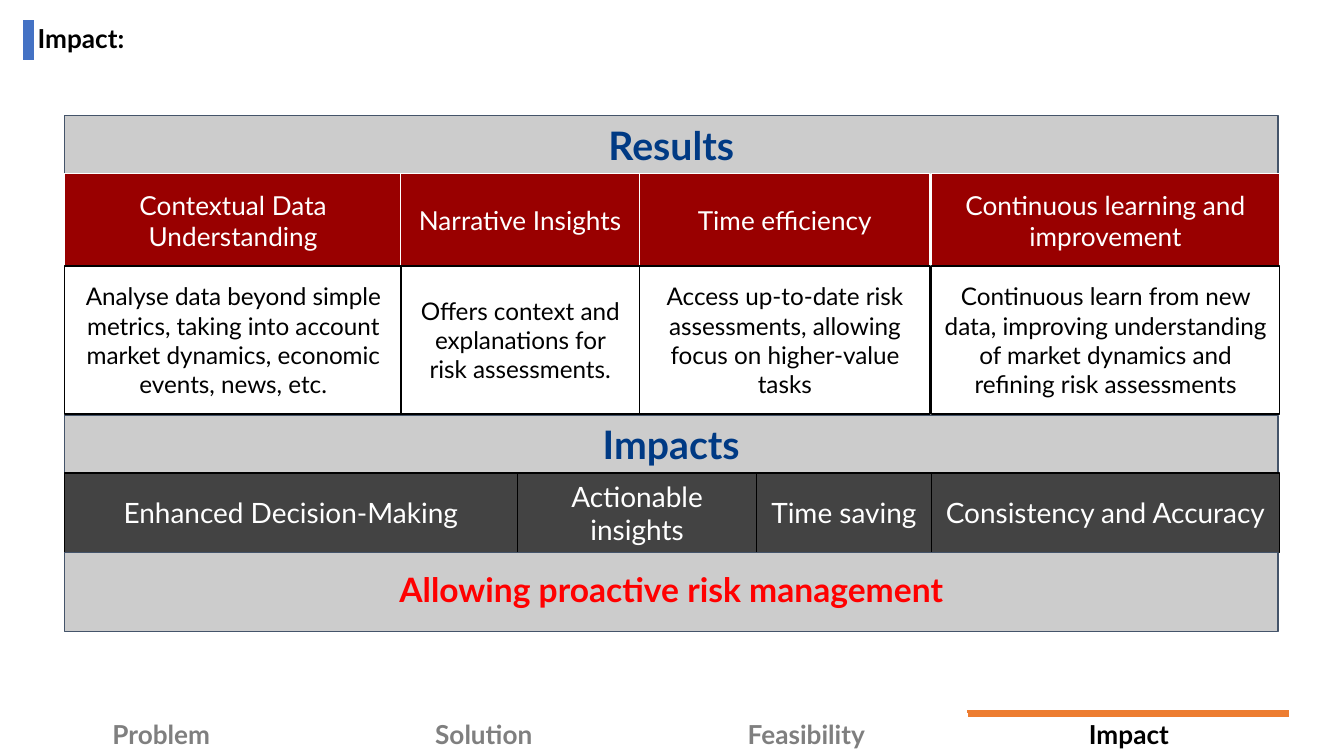
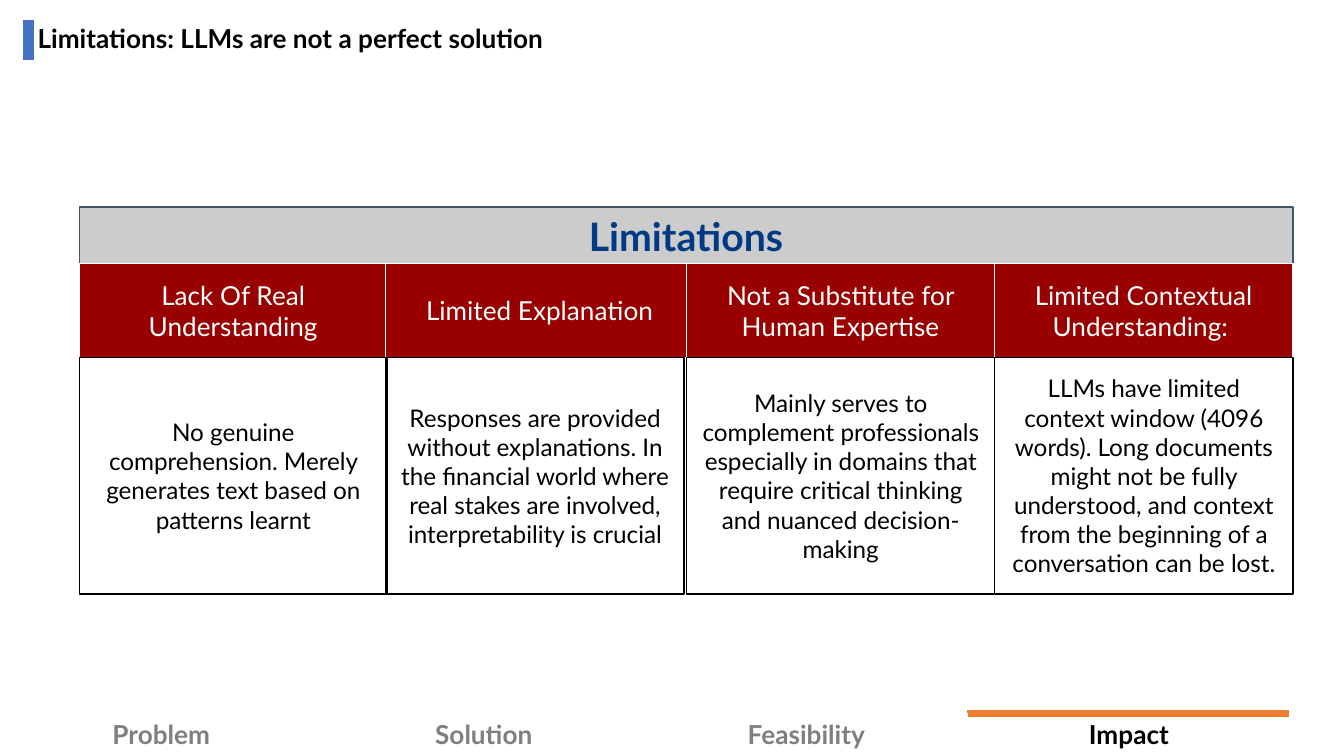
from dataclasses import dataclass
from typing import Optional

from lxml import etree
from pptx import Presentation
from pptx import util as u
from pptx.dml import color
from pptx.enum import shapes, text
from pptx.oxml import ns

FONT = "Lato"
BLACK = color.RGBColor(0x00, 0x00, 0x00)
WHITE = color.RGBColor(0xFF, 0xFF, 0xFF)
GREY = color.RGBColor(0x7F, 0x7F, 0x7F)
SILVER = color.RGBColor(0xCC, 0xCC, 0xCC)
CHARCOAL = color.RGBColor(0x43, 0x43, 0x43)
SLATE = color.RGBColor(0x44, 0x54, 0x6A)
NAVY = color.RGBColor(0x00, 0x3A, 0x84)
BLUE = color.RGBColor(0x44, 0x72, 0xC4)
ORANGE = color.RGBColor(0xED, 0x7D, 0x31)
CRIMSON = color.RGBColor(0x99, 0x00, 0x00)
RED = color.RGBColor(0xFF, 0x00, 0x00)

SECTIONS = ["Problem", "Solution", "Feasibility", "Impact"]
CURRENT_SECTION = "Impact"
BAND_WIDTH = 9.03


@dataclass(frozen=True)
class BoxStyle:
    fill: Optional[color.RGBColor]
    outline: color.RGBColor
    ink: color.RGBColor
    size: int
    height: float
    bold: bool = False
    spacing: Optional[float] = None


BAND = BoxStyle(SILVER, SLATE, NAVY, 21, 0.43, True)
HEADING = BoxStyle(CRIMSON, WHITE, WHITE, 14, 0.7)
RESULT = BoxStyle(None, BLACK, BLACK, 13, 1.1)
LIMIT = BoxStyle(None, BLACK, BLACK, 13, 1.76)
BENEFIT = BoxStyle(CHARCOAL, BLACK, WHITE, 15, 0.59)
CONCLUSION = BoxStyle(SILVER, SLATE, RED, 18, 0.59, True, 0.9)


def write(frame, wording, ink, size, bold, align, spacing=None):
    paragraph = frame.paragraphs[0]
    paragraph.alignment = align
    if spacing:
        paragraph.line_spacing = spacing
    run = paragraph.add_run()
    run.text = wording
    run.font.name = FONT
    run.font.size = u.Pt(size)
    run.font.bold = bold
    run.font.color.rgb = ink


def set_margins(frame, horizontal, vertical):
    frame.margin_left = frame.margin_right = u.Inches(horizontal)
    frame.margin_top = frame.margin_bottom = u.Inches(vertical)


def add_title_bar(slide):
    bar = slide.shapes.add_connector(
        shapes.MSO_CONNECTOR.STRAIGHT,
        u.Inches(0.21), u.Inches(0.15), u.Inches(0.21), u.Inches(0.45))
    bar.line.color.rgb = BLUE
    bar.line.width = u.Pt(6)
    etree.SubElement(bar._element.spPr, ns.qn("a:effectLst"))


def set_title(slide, wording):
    title = slide.shapes.title
    title.left, title.top = u.Inches(0.21), u.Inches(0.15)
    title.width, title.height = u.Inches(9.79), u.Inches(0.3)
    frame = title.text_frame
    frame.auto_size = text.MSO_AUTO_SIZE.NONE
    frame.word_wrap = True
    frame.vertical_anchor = text.MSO_ANCHOR.MIDDLE
    set_margins(frame, 0.07, 0.04)
    write(frame, wording, BLACK, 14, True, text.PP_ALIGN.LEFT, 0.9)


def mark_top_border(cell):
    border = etree.Element(ns.qn("a:lnT"), w=str(u.Pt(4.5)))
    fill = etree.SubElement(border, ns.qn("a:solidFill"))
    etree.SubElement(fill, ns.qn("a:srgbClr"), val=str(ORANGE))
    cell._tc.get_or_add_tcPr().insert(0, border)


def add_section_footer(slide):
    footer = slide.shapes.add_table(
        1, len(SECTIONS), u.Inches(0), u.Inches(5.31),
        u.Inches(2.4 * len(SECTIONS)), u.Inches(0.3)).table
    footer.first_row = footer.horz_banding = False
    for cell, section in zip(footer.rows[0].cells, SECTIONS):
        current = section == CURRENT_SECTION
        cell.fill.solid()
        cell.fill.fore_color.rgb = WHITE
        set_margins(cell, 0.08, 0.04)
        write(cell.text_frame, section, BLACK if current else GREY, 14, True,
              text.PP_ALIGN.CENTER)
        if current:
            mark_top_border(cell)


def add_box(slide, left, top, width, wording, style):
    box = slide.shapes.add_shape(
        shapes.MSO_SHAPE.RECTANGLE, u.Inches(left), u.Inches(top),
        u.Inches(width), u.Inches(style.height))
    box.shadow.inherit = False
    if style.fill is None:
        box.fill.background()
    else:
        box.fill.solid()
        box.fill.fore_color.rgb = style.fill
    box.line.color.rgb = style.outline
    box.line.width = u.Pt(0.75)
    frame = box.text_frame
    frame.word_wrap = True
    frame.vertical_anchor = text.MSO_ANCHOR.MIDDLE
    set_margins(frame, 0.1, 0.1)
    write(frame, wording, style.ink, style.size, style.bold,
          text.PP_ALIGN.CENTER, style.spacing)


def add_row(slide, top, columns, wordings, style):
    for (left, width), wording in zip(columns, wordings):
        add_box(slide, left, top, width, wording, style)


def add_framed_slide(deck, title):
    slide = deck.slides.add_slide(deck.slide_layouts[5])
    add_title_bar(slide)
    add_section_footer(slide)
    set_title(slide, title)
    return slide


def build_impact(deck):
    slide = add_framed_slide(deck, "Impact:")
    left = 0.48
    add_box(slide, left, 0.86, BAND_WIDTH, "Results", BAND)
    results = [(left, 2.51), (2.98, 1.78), (4.76, 2.16), (6.93, 2.59)]
    add_row(slide, 1.29, results, [
        "Contextual Data Understanding",
        "Narrative Insights",
        "Time efficiency",
        "Continuous learning and improvement",
    ], HEADING)
    add_row(slide, 1.98, results, [
        "Analyse data beyond simple metrics, taking into account market "
        "dynamics, economic events, news, etc.",
        "Offers context and explanations for risk assessments.",
        "Access up-to-date risk assessments, allowing focus on "
        "higher-value tasks",
        "Continuous learn from new data, improving understanding of "
        "market dynamics and refining risk assessments",
    ], RESULT)
    add_box(slide, left, 3.09, BAND_WIDTH, "Impacts", BAND)
    impacts = [(left, 3.37), (3.85, 1.78), (5.63, 1.3), (6.93, 2.59)]
    add_row(slide, 3.52, impacts, [
        "Enhanced Decision-Making",
        "Actionable insights",
        "Time saving",
        "Consistency and Accuracy",
    ], BENEFIT)
    add_box(slide, left, 4.11, BAND_WIDTH,
            "Allowing proactive risk management", CONCLUSION)


def build_limitations(deck):
    slide = add_framed_slide(
        deck, "Limitations: LLMs are not a perfect solution")
    left = 0.59
    add_box(slide, left, 1.54, BAND_WIDTH, "Limitations", BAND)
    limits = [(left, 2.29), (2.87, 2.29), (5.11, 2.29), (7.4, 2.22)]
    add_row(slide, 1.96, limits, [
        "Lack Of Real Understanding",
        "Limited Explanation",
        "Not a Substitute for Human Expertise",
        "Limited Contextual Understanding: ",
    ], HEADING)
    limits[1] = (2.87, 2.22)
    add_row(slide, 2.66, limits, [
        "No genuine comprehension. Merely generates text based on "
        "patterns learnt",
        "Responses are provided without explanations. In the financial "
        "world where real stakes are involved, interpretability is crucial",
        "Mainly serves to complement professionals especially in domains "
        "that require critical thinking and nuanced decision-making",
        "LLMs have limited context window (4096 words). Long documents "
        "might not be fully understood, and context from the beginning "
        "of a conversation can be lost.",
    ], LIMIT)


def main():
    deck = Presentation()
    deck.slide_width = u.Inches(10)
    deck.slide_height = deck.slide_width * 9 // 16
    build_impact(deck)
    build_limitations(deck)
    deck.save("out.pptx")


if __name__ == "__main__":
    main()
